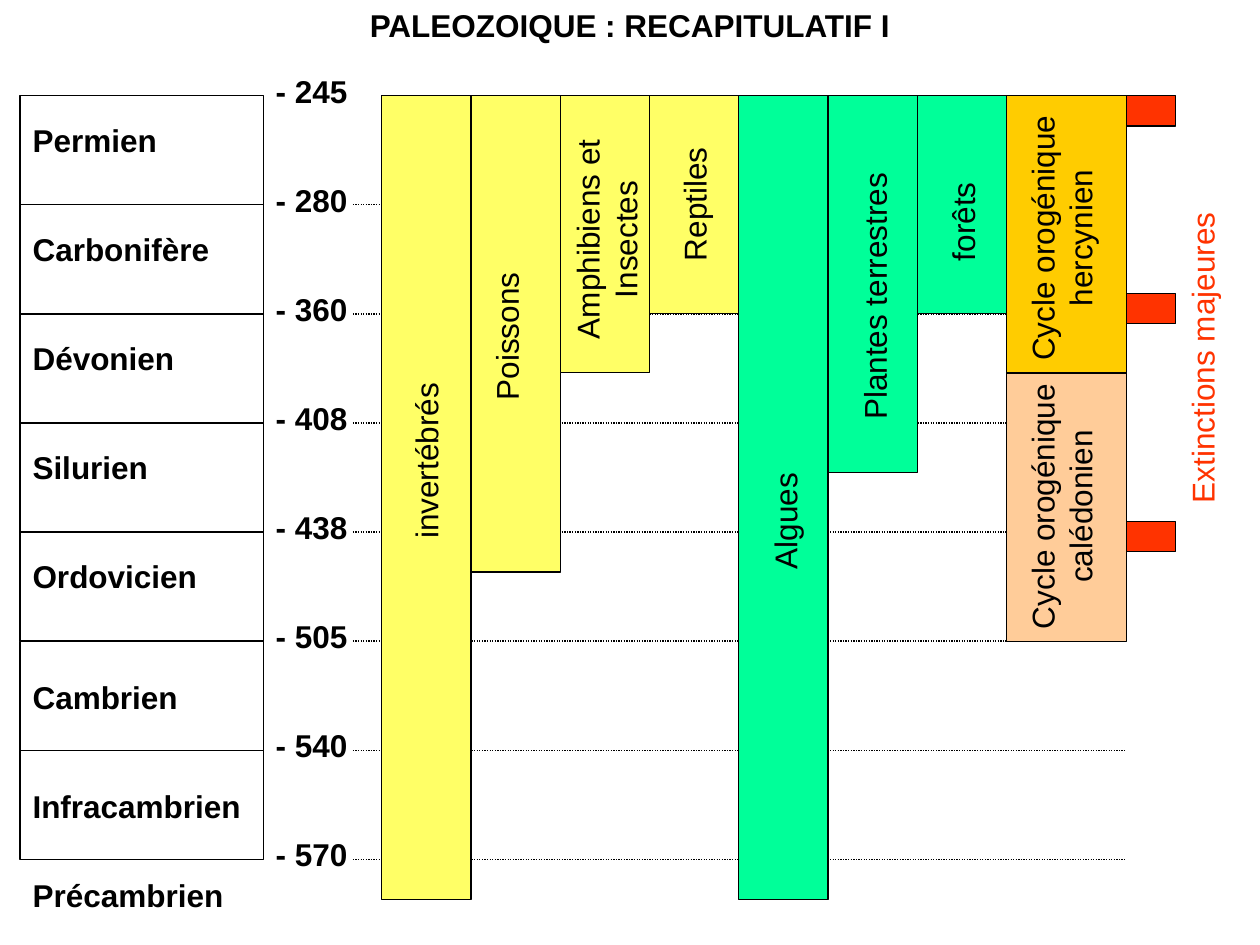
from dataclasses import dataclass

import pptx
import pptx.dml.color
import pptx.enum.dml
import pptx.enum.shapes
import pptx.enum.text
import pptx.oxml
import pptx.util
from pptx.util import Inches

ALIGN = pptx.enum.text.PP_ALIGN
BLACK, RED = "000000", "FF3300"
YELLOW, GREEN = "FFFF66", "00FF99"

TOP, BOTTOM = 0.76, 6.82
LEFT, PERIOD_W = 0.16, 1.93
AGE_LEFT, GRID_LEFT = 2.09, 2.8
BARS_LEFT, CYCLE_LEFT, CYCLE_RIGHT = 3.03, 7.99, 8.94
TEXT_H, TWO_LINES_H = 0.4, 0.7

PERIODS = ["Permien", "Carbonifère", "Dévonien", "Silurien", "Ordovicien",
           "Cambrien", "Infracambrien"]
AGES = [245, 280, 360, 408, 438, 505, 540, 570]
ROW = (BOTTOM - TOP) / len(PERIODS)


@dataclass
class Bar:
    """Vertical band with a label centred at (label_x, label_y)."""
    text: str
    color: str
    bottom: float
    label_x: float
    label_y: float
    label_len: float
    top: float = TOP
    two_lines: bool = False


GROUPS = [
    Bar("invertébrés", YELLOW, 7.14, 3.38, 3.55, 1.65),
    Bar("Poissons", YELLOW, 4.54, 4.02, 2.41, 1.73),
    Bar("Amphibiens et Insectes", YELLOW, 2.96, 4.81, 1.9, 1.97, two_lines=True),
    Bar("Reptiles", YELLOW, 2.49, 5.51, 1.54, 1.26),
    Bar("Algues", GREEN, 7.14, 6.23, 3.79, 1.65),
    Bar("Plantes terrestres", GREEN, 3.75, 6.94, 2.13, 2.6),
    Bar("forêts", GREEN, 2.49, 7.64, 1.58, 1.18),
]
CYCLES = [
    Bar("Cycle orogénique hercynien", "FFCC00", 2.96, 8.42, 1.89, 2.28, two_lines=True),
    Bar("Cycle orogénique calédonien", "FFCC99", 5.09, 8.42, 4.02, 2.28, top=2.96,
        two_lines=True),
]
EXTINCTION_TOPS = [0.76, 2.33, 4.14]
BAR_W = (CYCLE_LEFT - BARS_LEFT) / len(GROUPS)


def rgb(color: str) -> pptx.dml.color.RGBColor:
    return pptx.dml.color.RGBColor.from_string(color)


def write(sp, text: str, color: str = BLACK, bold: bool = False, align=ALIGN.LEFT) -> None:
    tf = sp.text_frame
    tf.word_wrap = True
    tf.vertical_anchor = pptx.enum.text.MSO_ANCHOR.TOP
    tf.margin_left = tf.margin_right = Inches(0.1)
    tf.margin_top = tf.margin_bottom = Inches(0.05)
    p = tf.paragraphs[0]
    p.text = text
    p.alignment = align
    p.font.name = "Arial"
    p.font.size = pptx.util.Pt(18)
    p.font.bold = bold
    p.font.color.rgb = rgb(color)


def add_text(slide, text: str, x: float, y: float, w: float) -> None:
    sp = slide.shapes.add_textbox(Inches(x), Inches(y), Inches(w), Inches(TEXT_H))
    write(sp, text, bold=True)


def add_vertical_text(slide, text: str, cx: float, cy: float, length: float,
                      height: float = TEXT_H, color: str = BLACK, align=ALIGN.LEFT) -> None:
    """Text reading upwards, centred at (cx, cy)."""
    sp = slide.shapes.add_textbox(Inches(cx - length / 2), Inches(cy - height / 2),
                                  Inches(length), Inches(height))
    sp.rotation = 270
    write(sp, text, color, align=align)


def add_rect(slide, x: float, y: float, w: float, h: float, fill: str = "") -> None:
    sp = slide.shapes.add_shape(pptx.enum.shapes.MSO_SHAPE.RECTANGLE,
                                Inches(x), Inches(y), Inches(w), Inches(h))
    sp.shadow.inherit = False
    if fill:
        sp.fill.solid()
        sp.fill.fore_color.rgb = rgb(fill)
    else:
        sp.fill.background()
    sp.line.color.rgb = rgb(BLACK)
    sp.line.width = pptx.util.Pt(0.75)


def add_grid_line(slide, y: float) -> None:
    line = slide.shapes.add_connector(pptx.enum.shapes.MSO_CONNECTOR.STRAIGHT,
                                      Inches(GRID_LEFT), Inches(y),
                                      Inches(CYCLE_RIGHT), Inches(y))
    line.line.color.rgb = rgb(BLACK)
    line.line.width = pptx.util.Pt(0.75)
    line.line.dash_style = pptx.enum.dml.MSO_LINE.ROUND_DOT
    line._element.spPr.append(pptx.oxml.parse_xml(
        '<a:effectLst xmlns:a="http://schemas.openxmlformats.org/drawingml/2006/main"/>'))


def add_bar(slide, bar: Bar, x: float, w: float) -> None:
    add_rect(slide, x, bar.top, w, bar.bottom - bar.top, bar.color)
    height, align = (TWO_LINES_H, ALIGN.CENTER) if bar.two_lines else (TEXT_H, ALIGN.LEFT)
    add_vertical_text(slide, bar.text, bar.label_x, bar.label_y, bar.label_len,
                      height, align=align)


def main() -> None:
    prs = pptx.Presentation()
    prs.slide_width, prs.slide_height = Inches(10), Inches(7.5)
    slide = prs.slides.add_slide(prs.slide_layouts[5])

    title = slide.shapes.title
    title.left, title.top = Inches(0), Inches(0)
    title.width, title.height = Inches(10), Inches(TEXT_H)
    write(title, "PALEOZOIQUE : RECAPITULATIF I", bold=True, align=ALIGN.CENTER)

    for i in range(1, len(AGES)):
        add_grid_line(slide, TOP + i * ROW)
    for i, period in enumerate(PERIODS):
        y = TOP + i * ROW
        add_rect(slide, LEFT, y, PERIOD_W, ROW)
        # The two oldest periods sit a little lower in their cells
        add_text(slide, period, LEFT, y + (0.15 if i < 5 else 0.24), 2.01)
    add_text(slide, "Précambrien", LEFT, BOTTOM + 0.08, 2.01)
    for i, age in enumerate(AGES):
        add_text(slide, f"- {age}", AGE_LEFT, TOP + i * ROW - 0.24, 0.87)

    for i, bar in enumerate(GROUPS):
        add_bar(slide, bar, BARS_LEFT + i * BAR_W, BAR_W)
    for bar in CYCLES:
        add_bar(slide, bar, CYCLE_LEFT, CYCLE_RIGHT - CYCLE_LEFT)
    for y in EXTINCTION_TOPS:
        add_rect(slide, CYCLE_RIGHT, y, 0.39, 0.24, RED)
    add_vertical_text(slide, "Extinctions majeures", 9.54, 2.84, 4.17,
                      color=RED, align=ALIGN.CENTER)

    prs.save("out.pptx")


if __name__ == "__main__":
    main()
